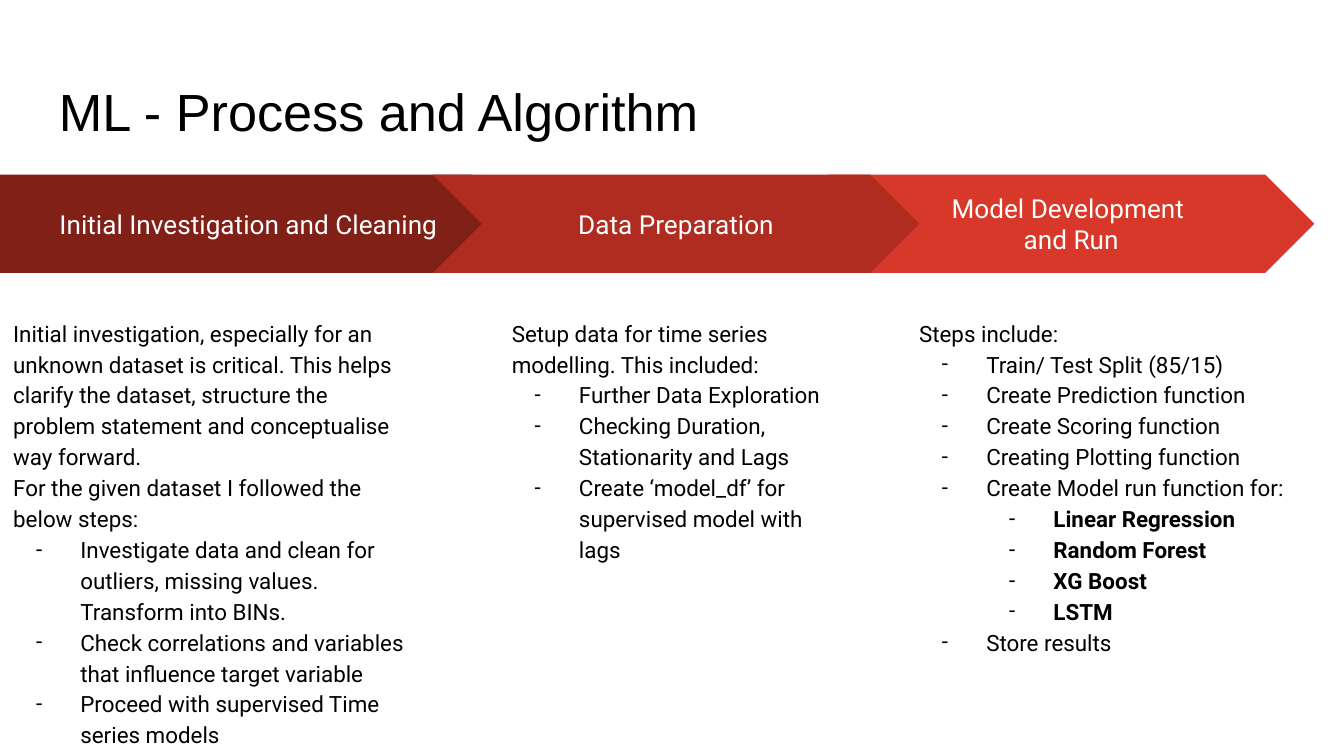
from lxml.etree import SubElement
from pptx import Presentation
from pptx.dml.color import RGBColor
from pptx.enum.shapes import MSO_SHAPE
from pptx.enum.text import MSO_ANCHOR, PP_ALIGN
from pptx.oxml.ns import qn
from pptx.util import Inches, Pt

BAND = 0.73
STEPS = [
    (MSO_SHAPE.CHEVRON, "D83829", (6.16, 3.62), (6.74, 3.03),
     ["Model Development ", "and Run"], [
        (0, "Steps include:"),
        (1, "Train/ Test Split (85/15)"),
        (1, "Create Prediction function"),
        (1, "Create Scoring function"),
        (1, "Creating Plotting function"),
        (1, "Create Model run function for:"),
        (2, "Linear Regression"),
        (2, "Random Forest"),
        (2, "XG Boost"),
        (2, "LSTM"),
        (1, "Store results"),
    ]),
    (MSO_SHAPE.PENTAGON, "802017", (0, 3.88), (0, 3.16),
     ["Initial Investigation and Cleaning"], [
        (0, "Initial investigation, especially for an unknown dataset is "
            "critical. This helps clarify the dataset, structure the problem "
            "statement and conceptualise way forward."),
        (0, "For the given dataset I followed the below steps:"),
        (1, "Investigate data and clean for outliers, missing values. "
            "Transform into BINs."),
        (1, "Check correlations and variables that influence target variable"),
        (1, "Proceed with supervised Time series models"),
    ]),
    (MSO_SHAPE.CHEVRON, "B02C20", (3.22, 3.62), (3.71, 2.57),
     ["Data Preparation"], [
        (0, "Setup data for time series modelling. This included:"),
        (1, "Further Data Exploration"),
        (1, "Checking Duration, Stationarity and Lags"),
        (1, "Create ‘model_df’ for supervised model with lags"),
    ]),
]


def color(code):
    return RGBColor.from_string(code)


def style(part, size, face, code, bold=False):
    for run in part.runs:
        font = run.font
        font.size = Pt(size)
        font.name = face
        font.bold = bold
        font.color.rgb = color(code)


def frame(shape):
    text = shape.text_frame
    text.word_wrap = True
    text.margin_left = text.margin_right = Inches(0.1)
    text.margin_top = text.margin_bottom = Inches(0.1)
    return text


def bullet(part, level):
    part.level = level - 1
    props = part._p.get_or_add_pPr()
    props.set("marL", str(Inches(0.5 * level)))
    props.set("indent", str(Inches(-0.33)))
    tint = SubElement(props, qn("a:buClr"))
    SubElement(tint, qn("a:srgbClr")).set("val", "000000")
    SubElement(props, qn("a:buSzPts")).set("val", "1200")
    SubElement(props, qn("a:buFont")).set("typeface", "Roboto")
    SubElement(props, qn("a:buChar")).set("char", "-")


def title(slide, box):
    text = frame(slide.shapes.add_textbox(*map(Inches, box)))
    text.text = "ML - Process and Algorithm"
    style(text.paragraphs[0], 28, "Arial", "000000")


def arrow(slide, box, kind, fill, lines):
    shape = slide.shapes.add_shape(kind, *map(Inches, box))
    shape.adjustments[0] = 0.5
    shape.shadow.inherit = False
    shape.fill.solid()
    shape.fill.fore_color.rgb = color(fill)
    shape.line.fill.background()
    text = frame(shape)
    text.vertical_anchor = MSO_ANCHOR.MIDDLE
    text.text = "\n".join(lines)
    for part in text.paragraphs:
        part.alignment = PP_ALIGN.CENTER
        style(part, 14, "Roboto", "FFFFFF")


def notes(slide, box, items):
    text = frame(slide.shapes.add_textbox(*map(Inches, box)))
    text.text = "\n".join(line for level, line in items)
    for part, (level, line) in zip(text.paragraphs, items):
        part.line_spacing = 1.15
        if level:
            bullet(part, level)
        style(part, 12, "Roboto", "000000", level == 2)


def step(slide, top, kind, fill, band, body, head, items):
    arrow(slide, (band[0], top, band[1], BAND), kind, fill, head)
    notes(slide, (body[0], top + 0.95, body[1], 2.86), items)


def main():
    deck = Presentation()
    deck.slide_width = Inches(10)
    deck.slide_height = deck.slide_width * 9 // 16
    slide = deck.slides.add_slide(deck.slide_layouts[6])
    title(slide, (0.34, 0.49, 9.32, 0.63))
    for item in STEPS:
        step(slide, 1.3, *item)
    deck.save("out.pptx")


if __name__ == "__main__":
    main()
